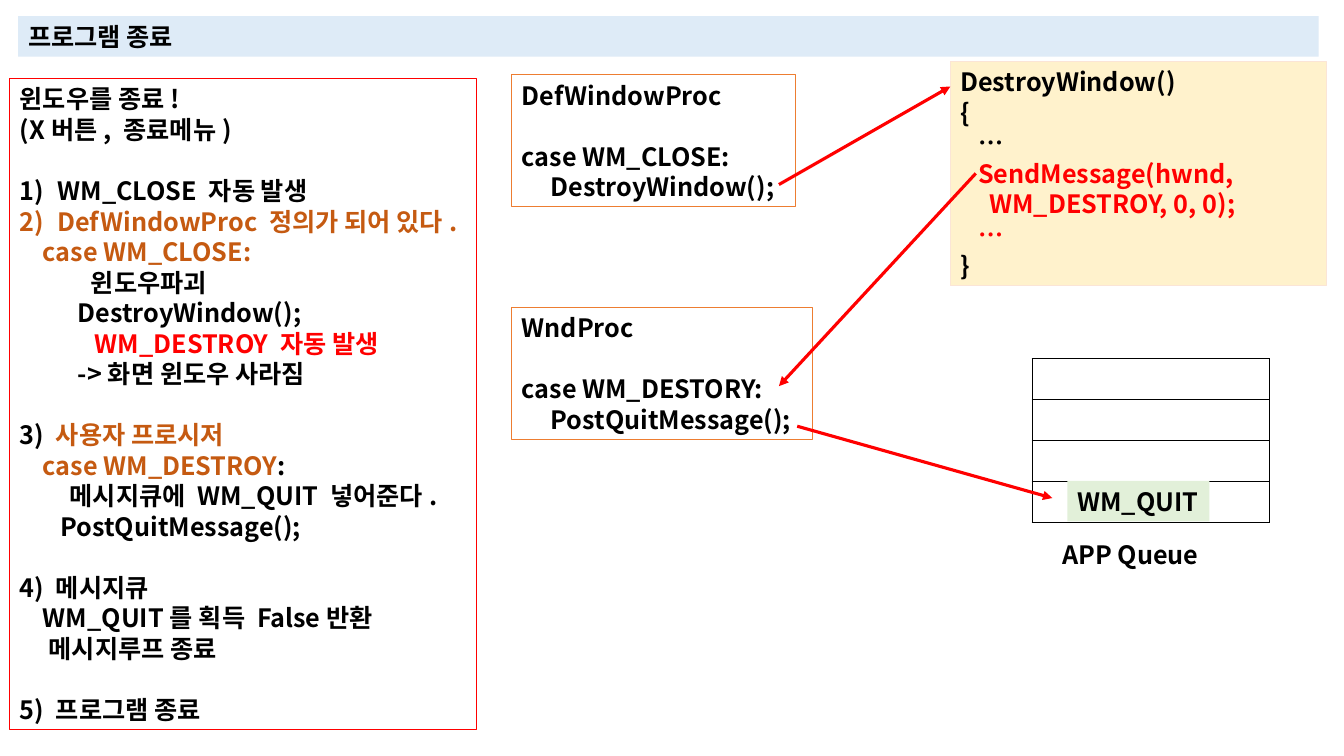
from lxml.etree import SubElement
from pptx import Presentation
from pptx.dml.color import RGBColor
from pptx.enum.shapes import MSO_CONNECTOR, MSO_SHAPE
from pptx.enum.text import MSO_ANCHOR, PP_ALIGN
from pptx.oxml import parse_xml
from pptx.oxml.ns import nsdecls, qn
from pptx.util import Cm, Pt

FONT = "Noto Sans CJK KR"
LINE_PITCH = Pt(21.8)
BLACK = RGBColor(0x00, 0x00, 0x00)
RED = RGBColor(0xFF, 0x00, 0x00)
BROWN = RGBColor(0xC5, 0x5A, 0x11)
ORANGE = RGBColor(0xED, 0x7D, 0x31)
PALE_BLUE = RGBColor(0xDE, 0xEB, 0xF7)
PALE_YELLOW = RGBColor(0xFF, 0xF2, 0xCC)
PALE_ORANGE = RGBColor(0xFB, 0xE5, 0xD6)
PALE_GREEN = RGBColor(0xE2, 0xF0, 0xD9)


def line(text, color=BLACK, indent=0, gap=False, numbered=False):
    runs = [(text, color)] if isinstance(text, str) else text
    return runs, indent, gap, numbered


def add_run(p, text, color):
    r = p.add_run()
    r.text = text
    r.font.size = Pt(18)
    r.font.bold = True
    r.font.color.rgb = color
    r.font.name = FONT
    SubElement(r.font._element, qn("a:ea"), typeface=FONT)


def set_indent(p, indent, numbered):
    pPr = p._p.get_or_add_pPr()
    if numbered:
        pPr.set("marL", str(Cm(0.95)))
        pPr.set("indent", str(-Cm(0.95)))
        SubElement(pPr, qn("a:buAutoNum"), type="arabicParenR")
    else:
        pPr.set("marL", str(Cm(indent)))
        pPr.set("indent", "0")


def write_lines(tf, lines):
    tf.word_wrap = True
    tf.vertical_anchor = MSO_ANCHOR.TOP
    tf.margin_right = 0
    for i, (runs, indent, gap, numbered) in enumerate(lines):
        p = tf.add_paragraph() if i else tf.paragraphs[0]
        p.alignment = PP_ALIGN.LEFT
        p.line_spacing = LINE_PITCH
        p.space_before = LINE_PITCH if gap else 0
        set_indent(p, indent, numbered)
        for text, color in runs:
            add_run(p, text, color)


def add_box(s, left, top, width, height, lines, fill=None, border=None):
    sp = s.shapes.add_shape(MSO_SHAPE.RECTANGLE, Cm(left), Cm(top), Cm(width), Cm(height))
    sp.shadow.inherit = False
    if fill:
        sp.fill.solid()
        sp.fill.fore_color.rgb = fill
    else:
        sp.fill.background()
    if border:
        sp.line.color.rgb = border
        sp.line.width = Pt(0.75)
    else:
        sp.line.fill.background()
    write_lines(sp.text_frame, lines)


def add_label(s, left, top, width, height, text):
    sp = s.shapes.add_textbox(Cm(left), Cm(top), Cm(width), Cm(height))
    write_lines(sp.text_frame, [line(text)])


def add_arrow(s, x1, y1, x2, y2):
    c = s.shapes.add_connector(MSO_CONNECTOR.STRAIGHT, Cm(x1), Cm(y1), Cm(x2), Cm(y2))
    c.line.color.rgb = RED
    c.line.width = Pt(2.25)
    SubElement(c.line._get_or_add_ln(), qn("a:tailEnd"), type="triangle")
    SubElement(c._element.spPr, qn("a:effectLst"))


def add_queue(s, left, top, width, row_height, count):
    tbl = s.shapes.add_table(count, 1, Cm(left), Cm(top), Cm(width), Cm(row_height * count)).table
    tbl.first_row = tbl.horz_banding = False
    for row in tbl.rows:
        row.height = Cm(row_height)
        cell = row.cells[0]
        cell.margin_top = cell.margin_bottom = 0
        cell.fill.background()
        tcPr = cell._tc.get_or_add_tcPr()
        for i, side in enumerate(("lnL", "lnR", "lnT", "lnB")):
            tcPr.insert(i, parse_xml(
                f'<a:{side} {nsdecls("a")} w="{Pt(1)}"><a:solidFill>'
                f'<a:srgbClr val="{BLACK}"/></a:solidFill></a:{side}>'))


def main():
    prs = Presentation()
    prs.slide_width, prs.slide_height = Cm(33.87), Cm(19.05)
    s = prs.slides.add_slide(prs.slide_layouts[6])

    add_box(s, 0.46, 0.41, 32.77, 1.02, [line("프로그램 종료")], fill=PALE_BLUE)
    add_box(s, 12.9, 1.88, 7.16, 3.33, [
        line("DefWindowProc"),
        line("case WM_CLOSE:", gap=True),
        line("DestroyWindow();", indent=0.73),
    ], border=ORANGE)
    add_box(s, 0.25, 1.98, 11.76, 16.41, [
        line("윈도우를 종료!"),
        line("(X버튼, 종료메뉴)"),
        line("WM_CLOSE 자동 발생", gap=True, numbered=True),
        line("DefWindowProc 정의가 되어 있다.", BROWN, numbered=True),
        line("case WM_CLOSE:", BROWN, indent=0.58),
        line("윈도우파괴", indent=1.79),
        line("DestroyWindow();", indent=1.46),
        line("WM_DESTROY 자동 발생", RED, indent=1.89),
        line("->화면 윈도우 사라짐", indent=1.46),
        line([("3) ", BLACK), ("사용자 프로시저", BROWN)], gap=True),
        line([("case WM_DESTROY", BROWN), (":", BLACK)], indent=0.58),
        line("메시지큐에 WM_QUIT 넣어준다.", indent=1.26),
        line("PostQuitMessage();", indent=1.03),
        line("4) 메시지큐", gap=True),
        line("WM_QUIT를 획득 False반환", indent=0.58),
        line("메시지루프 종료", indent=0.73),
        line("5) 프로그램 종료", gap=True),
    ], border=RED)
    add_box(s, 23.95, 1.55, 9.47, 5.64, [
        line("DestroyWindow()"),
        line("{"),
        line("…", indent=0.45),
        line("SendMessage(hwnd,", RED, indent=0.45),
        line("WM_DESTROY, 0, 0);", RED, indent=0.73),
        line("…", RED, indent=0.45),
        line("}"),
    ], fill=PALE_YELLOW, border=PALE_ORANGE)
    add_box(s, 12.9, 7.75, 7.57, 3.33, [
        line("WndProc"),
        line("case WM_DESTORY:", gap=True),
        line("PostQuitMessage();", indent=0.73),
    ], border=ORANGE)

    add_arrow(s, 19.63, 4.65, 23.95, 2.18)
    add_arrow(s, 24.59, 4.37, 19.63, 9.73)
    add_queue(s, 26.01, 9.04, 5.99, 1.03, 4)
    add_label(s, 26.52, 13.46, 3.96, 1.02, "APP Queue")
    add_box(s, 26.9, 12.12, 3.58, 1.02, [line("WM_QUIT")], fill=PALE_GREEN)
    add_arrow(s, 20.09, 10.74, 26.52, 12.55)

    prs.save("out.pptx")


if __name__ == "__main__":
    main()
